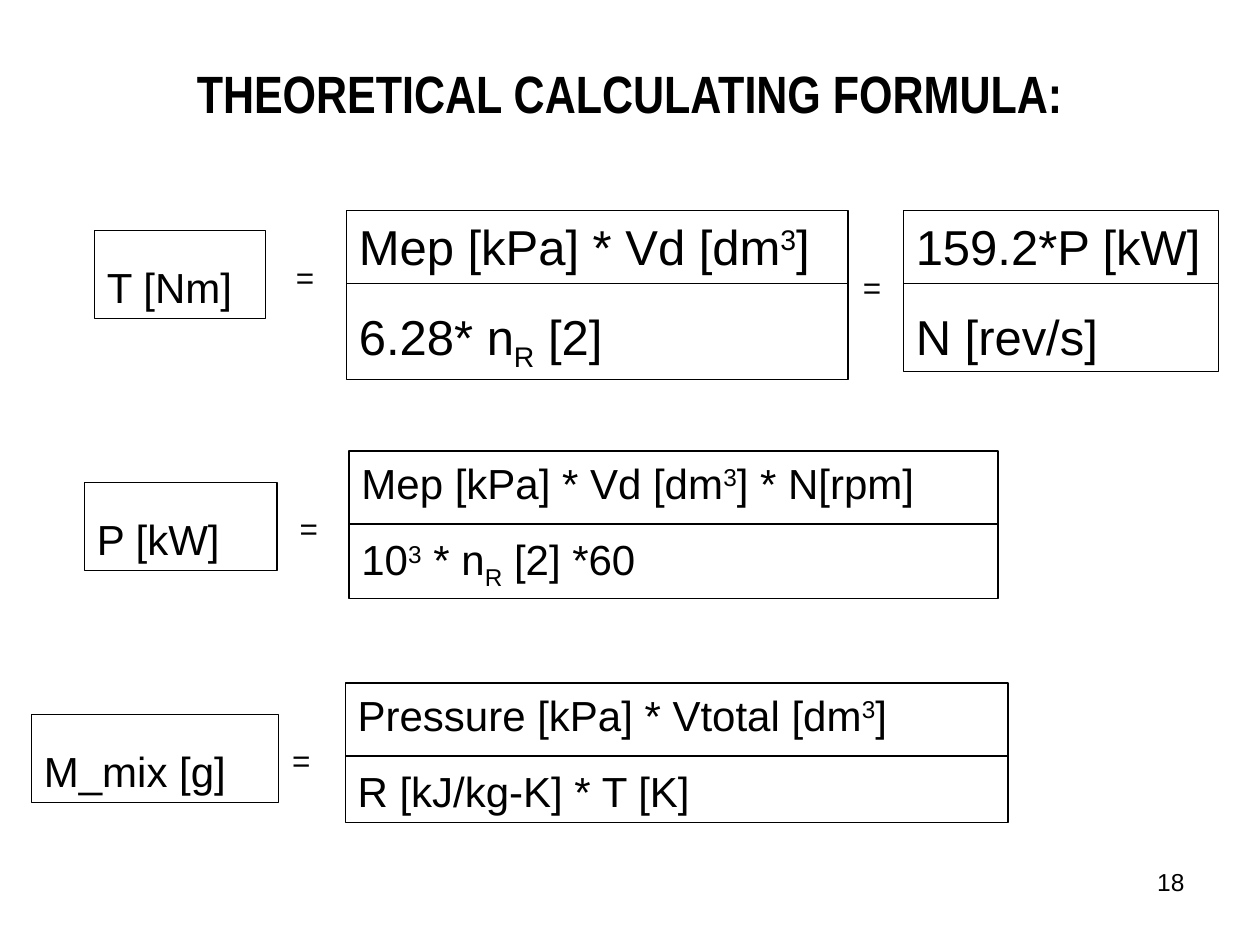
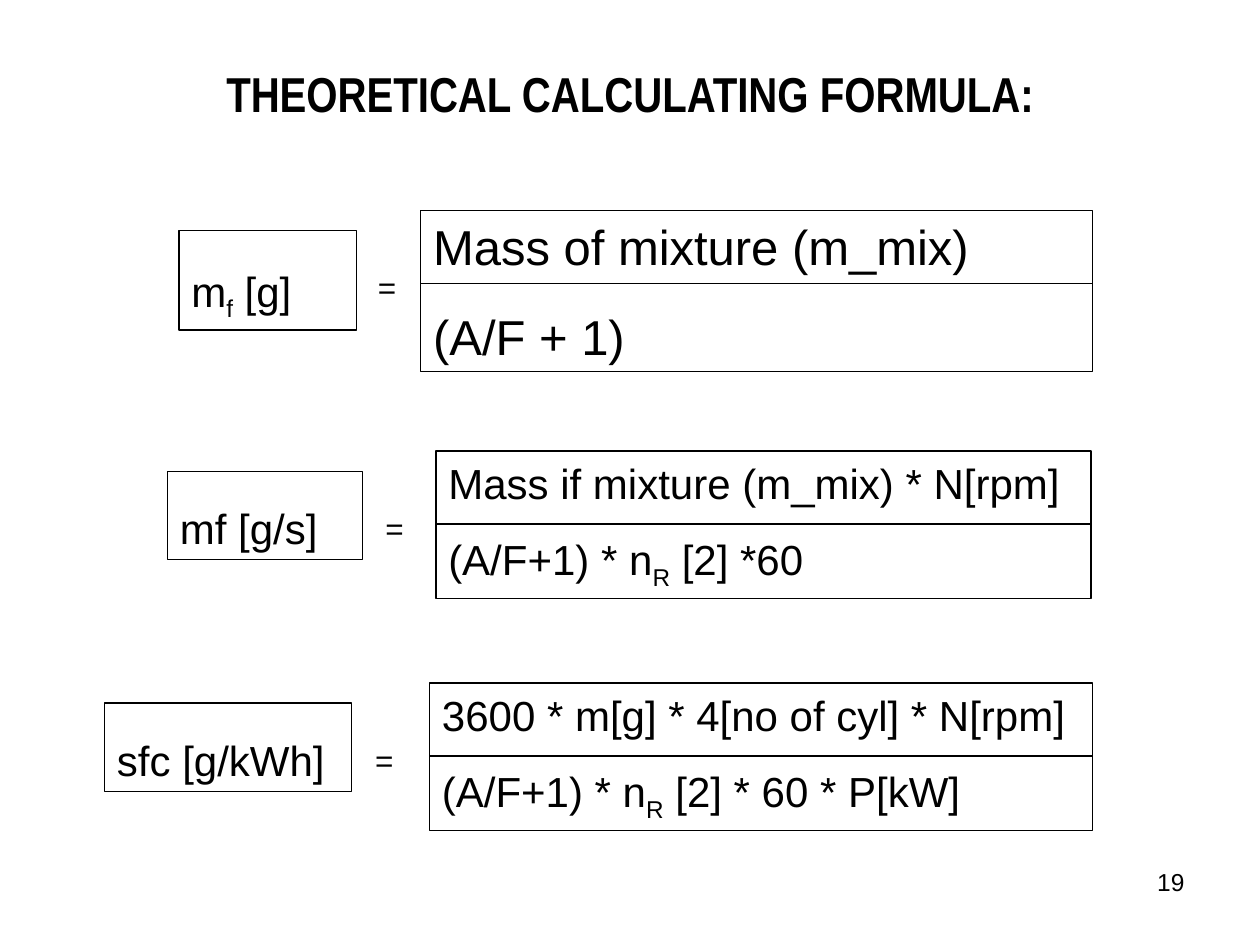
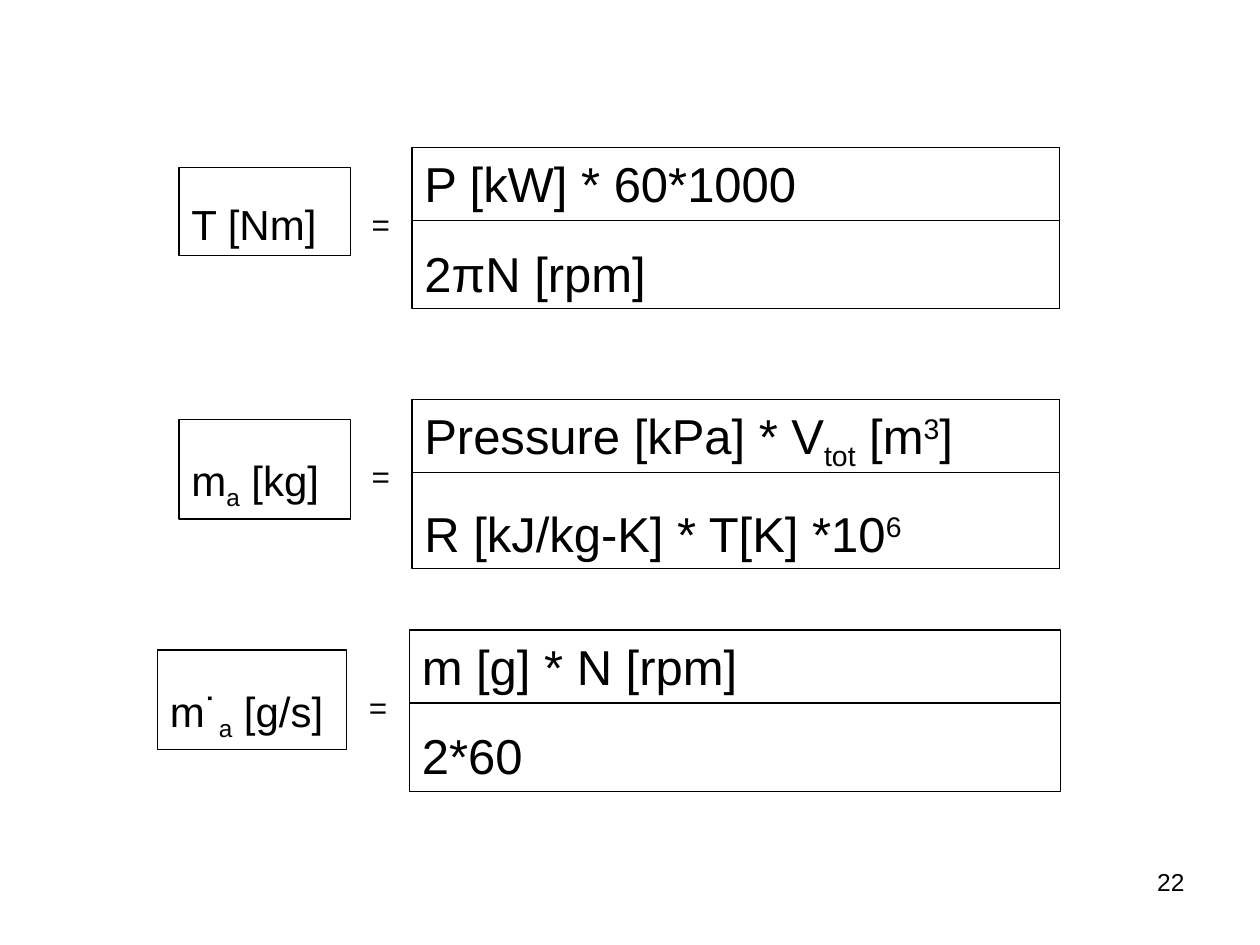
from dataclasses import dataclass
from typing import Any

from lxml.etree import SubElement
from pptx import Presentation
from pptx.dml.color import RGBColor
from pptx.enum.shapes import MSO_CONNECTOR as Line, MSO_SHAPE as Shape
from pptx.enum.text import MSO_ANCHOR as Anchor, MSO_AUTO_SIZE as Fit, PP_ALIGN as Align
from pptx.oxml.ns import qn
from pptx.util import Inches, Pt

BLACK = RGBColor(0x00, 0x00, 0x00)
SANS = "Arial"
NARROW = "Arial Narrow"
TITLE = "THEORETICAL CALCULATING FORMULA:"

HAIR = Pt(0.75)
BAR_DROP = 0.58
SIGN_DROP = 0.41
SIGN_TALL = 0.4
LABEL_TALL = 0.7
FRAC_TALL = {24: 1.11, 28: 1.28}
SCRIPTS = {"^": "30000", "~": "-25000"}


@dataclass(frozen=True)
class Frac:
    """A boxed fraction with the equals sign before it.

    In its text, "|" parts the runs; "^" lifts a run and "~" lowers it.
    """
    left: float
    wide: float
    over: str
    under: str
    sign: float
    sign_wide: float
    size: int = 28
    sign_drop: float = SIGN_DROP


@dataclass(frozen=True)
class Row:
    """A labelled formula; the label sits a little below the fraction's top."""
    top: float
    left: float
    wide: float
    label: str
    fracs: tuple[Frac, ...]
    drop: float = 0.16


@dataclass(frozen=True)
class Page:
    number: int
    rows: tuple[Row, ...]
    title_size: int = 0


PAGES = (
    Page(18, (
        Row(1.67, 0.75, 1.36, "T [Nm]", (
            Frac(2.75, 3.98, "Mep [kPa] * Vd [dm|^3|]", "6.28* n|~R| [2]",
                 2.25, 0.35, sign_drop=0.33),
            Frac(7.17, 2.5, "159.2*P [kW]", "N [rev/s]", 6.75, 0.35),
        )),
        Row(3.58, 0.67, 1.53, "P [kW]", (
            Frac(2.77, 5.15, "Mep [kPa] * Vd [dm|^3|] * N[rpm]",
                 "10|^3| * n|~R| [2] *60", 2.28, 0.41, 24),
        ), 0.25),
        Row(5.42, 0.25, 1.96, "M_mix [g]", (
            Frac(2.74, 5.26, "Pressure [kPa] * Vtotal [dm|^3|]",
                 "R [kJ/kg-K] * T [K]", 2.22, 0.44, 24),
        ), 0.25),
    ), 30),
    Page(19, (
        Row(1.67, 1.42, 1.41, "m|~f| [g]", (
            Frac(3.34, 5.33, "Mass of mixture (m_mix)", "(A/F + 1)", 2.9, 0.37),
        )),
        Row(3.58, 1.33, 1.55, "mf [g/s]", (
            Frac(3.46, 5.2, "Mass if mixture (m_mix) * N[rpm]",
                 "(A/F+1) * n|~R| [2] *60", 2.96, 0.41, 24),
        )),
        Row(5.42, 0.83, 1.96, "sfc [g/kWh]", (
            Frac(3.41, 5.26, "3600 * m[g] * 4[no of cyl] * N[rpm]",
                 "(A/F+1) * n|~R| [2] * 60 * P[kW]", 2.88, 0.44, 24),
        )),
    ), 28),
    Page(22, (
        Row(1.17, 1.42, 1.36, "T [Nm]", (
            Frac(3.27, 5.14, "P [kW] * 60*1000", "2πN [rpm]", 2.85, 0.35),
        )),
        Row(3.17, 1.42, 1.36, "m|~a| [kg]", (
            Frac(3.27, 5.14, "Pressure [kPa] * V|~tot| [m|^3|]",
                 "R [kJ/kg-K] * T[K] *10|^6", 2.85, 0.35),
        )),
        Row(5, 1.25, 1.5, "m˙|~a| [g/s]", (
            Frac(3.25, 5.17, "m [g] * N [rpm]", "2*60", 2.83, 0.35),
        )),
    )),
)


def style(item: Any, **form: Any) -> None:
    """Set each named attribute on the item."""
    for name, value in form.items():
        setattr(item, name, value)


def place(item: Any, left: float, top: float, wide: float, tall: float) -> None:
    style(item, left=Inches(left), top=Inches(top),
          width=Inches(wide), height=Inches(tall))


def write(item: Any, lines: list[str], size: int, face: str = SANS, bold: bool = False,
          align: Any = Align.LEFT, space: float = 1, anchor: Any = Anchor.TOP,
          fit: Any = Fit.SHAPE_TO_FIT_TEXT) -> None:
    frame = item.text_frame
    style(frame, word_wrap=True, auto_size=fit, vertical_anchor=anchor)
    for spot, line in enumerate(lines):
        para = frame.add_paragraph() if spot else frame.paragraphs[0]
        style(para, alignment=align, line_spacing=space)
        if spot:
            para.space_before = Pt(size * 0.625)
        for part in line.split("|"):
            run = para.add_run()
            run.text = part.lstrip("^~")
            style(run.font, size=Pt(size), name=face, bold=bold)
            run.font.color.rgb = BLACK
            if part[0] in SCRIPTS:
                run.font._element.set("baseline", SCRIPTS[part[0]])


def add_box(shapes: Any, left: float, top: float, wide: float, tall: float) -> Any:
    """Add an unfilled box with a thin outline."""
    box = shapes.add_shape(Shape.RECTANGLE, *map(Inches, (left, top, wide, tall)))
    box.shadow.inherit = False
    box.fill.background()
    box.line.color.rgb = BLACK
    box.line.width = HAIR
    return box


def add_text(shapes: Any, left: float, top: float, wide: float, tall: float) -> Any:
    return shapes.add_textbox(*map(Inches, (left, top, wide, tall)))


def add_bar(shapes: Any, left: float, top: float, wide: float) -> None:
    ends = map(Inches, (left, top, left + wide, top))
    bar = shapes.add_connector(Line.STRAIGHT, *ends)
    bar.line.color.rgb = BLACK
    bar.line.width = HAIR
    SubElement(bar._element.spPr, qn("a:effectLst"))


def add_frac(shapes: Any, frac: Frac, top: float) -> None:
    tall = FRAC_TALL[frac.size] + (0.06 if "|" in frac.under else 0)
    box = add_box(shapes, frac.left, top, frac.wide, tall)
    write(box, [frac.over, frac.under], frac.size)
    add_bar(shapes, frac.left, top + BAR_DROP, frac.wide)
    sign = add_text(shapes, frac.sign, top + frac.sign_drop, frac.sign_wide, SIGN_TALL)
    write(sign, ["="], 18)


def add_row(slide: Any, row: Row) -> None:
    shapes = slide.shapes.add_group_shape().shapes
    tall = LABEL_TALL + (0.09 if "|" in row.label else 0)
    box = add_box(shapes, row.left, row.top + row.drop, row.wide, tall)
    write(box, [row.label], 24, space=1.5)
    for frac in row.fracs:
        add_frac(shapes, frac, row.top)


def add_page(deck: Any, page: Page) -> None:
    slide = deck.slides.add_slide(deck.slide_layouts[5 if page.title_size else 6])
    if page.title_size:
        title = slide.shapes.title
        place(title, 0.5, 0.3, 9, 0.87)
        write(title, [TITLE], page.title_size, NARROW, True, Align.CENTER,
              anchor=Anchor.MIDDLE, fit=Fit.NONE)
    number = add_text(slide.shapes, 7.17, 6.83, 2.33, 0.52)
    write(number, [str(page.number)], 14, align=Align.RIGHT, fit=Fit.NONE)
    for row in page.rows:
        add_row(slide, row)


def main() -> None:
    deck = Presentation()
    style(deck, slide_width=Inches(10), slide_height=Inches(7.5))
    for page in PAGES:
        add_page(deck, page)
    deck.save("out.pptx")


if __name__ == "__main__":
    main()
